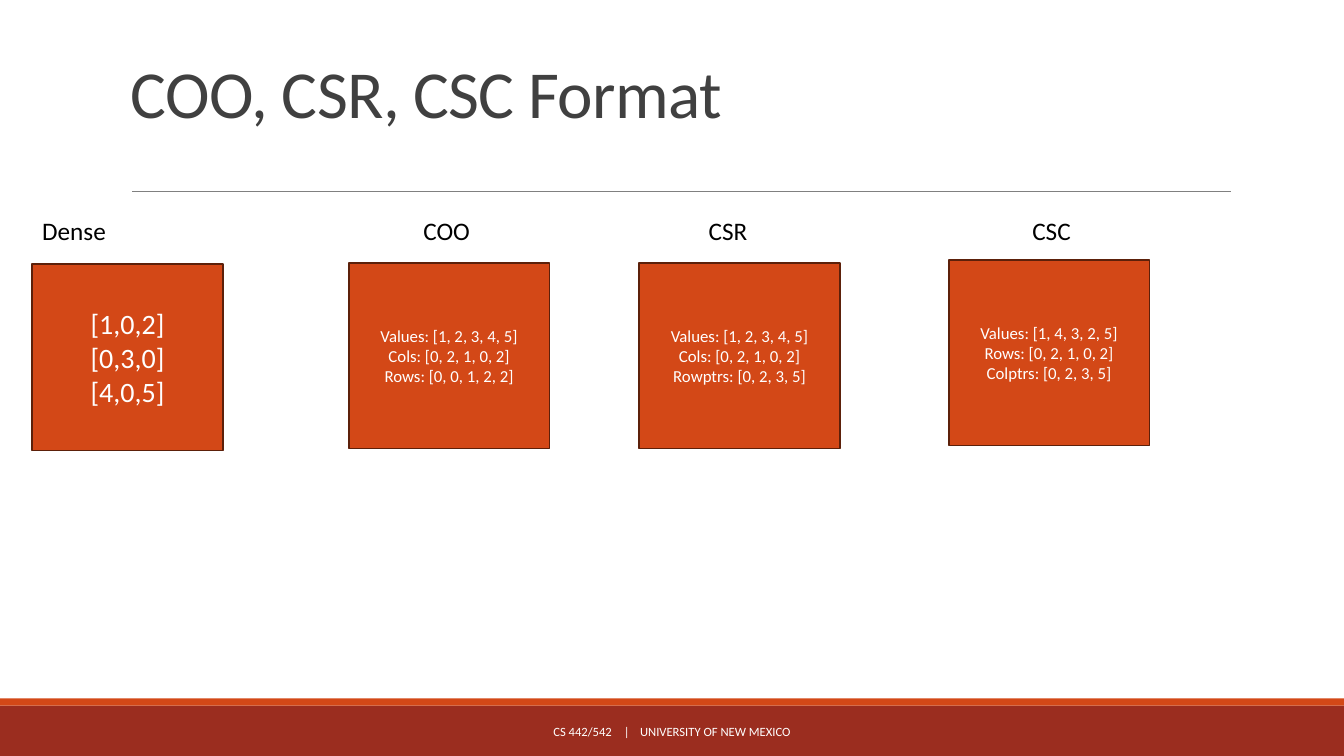
from lxml import etree
from pptx import Presentation
from pptx.dml.color import RGBColor
from pptx.enum.shapes import MSO_CONNECTOR, MSO_SHAPE
from pptx.enum.text import MSO_ANCHOR, PP_ALIGN
from pptx.oxml.ns import qn
from pptx.util import Inches, Pt

RECTANGLE = MSO_SHAPE.RECTANGLE
STRAIGHT = MSO_CONNECTOR.STRAIGHT
LEFT, CENTER = PP_ALIGN.LEFT, PP_ALIGN.CENTER
TOP, MIDDLE, BOTTOM = MSO_ANCHOR.TOP, MSO_ANCHOR.MIDDLE, MSO_ANCHOR.BOTTOM

COLORS = {
    "orange": "D34817",
    "dark red": "9B2D1F",
    "outline": "5C200A",
    "rule": "808080",
    "title": "404040",
    "black": "000000",
    "white": "FFFFFF",
}


def add_rectangle(box, fill, outline=None):
    shape = slide.shapes.add_shape(RECTANGLE, *map(Inches, box))
    shape.shadow.inherit = False
    shape.fill.solid()
    shape.fill.fore_color.rgb = RGBColor.from_string(COLORS[fill])
    if outline:
        shape.line.color.rgb = RGBColor.from_string(COLORS[outline])
        shape.line.width = Pt(1.25)
    else:
        shape.line.fill.background()
    return shape


def write_text(shape, lines, size, color, align=LEFT, anchor=TOP,
               line_spacing=1.0, letter_spacing=0, tabs=()):
    """Fill a shape with one paragraph per line; tabs are in inches."""
    frame = shape.text_frame
    frame.word_wrap = True
    frame.vertical_anchor = anchor
    for index, line in enumerate(lines):
        paragraph = frame.add_paragraph() if index else frame.paragraphs[0]
        paragraph.alignment = align
        paragraph.line_spacing = line_spacing
        run = paragraph.add_run()
        run.text = line
        run.font.name = "Calibri"
        run.font.size = Pt(size)
        run.font.color.rgb = RGBColor.from_string(COLORS[color])
        if letter_spacing:
            run.font._element.set("spc", str(int(letter_spacing * 100)))
        if tabs:
            properties = paragraph._p.get_or_add_pPr()
            tab_list = etree.SubElement(properties, qn("a:tabLst"))
            for position in tabs:
                etree.SubElement(tab_list, qn("a:tab"),
                                 pos=str(Inches(position)), algn="l")


presentation = Presentation()
presentation.slide_width = Inches(13.33)
presentation.slide_height = Inches(7.5)
slide = presentation.slides.add_slide(presentation.slide_layouts[6])

# Footer bands and title rule
add_rectangle((0, 7, 13.33, 0.5), "dark red")
add_rectangle((0, 6.93, 13.33, 0.07), "orange")
title_rule = slide.shapes.add_connector(
    STRAIGHT, Inches(1.31), Inches(1.9), Inches(12.21), Inches(1.9))
title_rule.line.color.rgb = RGBColor.from_string(COLORS["rule"])
title_rule.line.width = Pt(0.5)
etree.SubElement(title_rule._element.spPr, qn("a:effectLst"))

title = slide.shapes.add_textbox(Inches(1.2), Inches(0.31), Inches(11), Inches(1.05))
write_text(title, ["COO, CSR, CSC Format"], 48, "title", anchor=BOTTOM,
           line_spacing=0.85, letter_spacing=-0.5)

# Matrix formats
headings = slide.shapes.add_textbox(Inches(0.32), Inches(2.09), Inches(11.81), Inches(0.4))
write_text(headings, ["Dense\tCOO\tCSR\tCSC"], 18, "black", tabs=(3.78, 6.61, 9.82))

matrices = [
    ((0.32, 2.62, 1.89, 1.85), 20, ["[1,0,2]", "[0,3,0]", "[4,0,5]"]),
    ((3.46, 2.61, 1.99, 1.84), 12,
     ["Values: [1, 2, 3, 4, 5]", "Cols: [0, 2, 1, 0, 2]", "Rows: [0, 0, 1, 2, 2]"]),
    ((6.34, 2.61, 1.99, 1.84), 12,
     ["Values: [1, 2, 3, 4, 5]", "Cols: [0, 2, 1, 0, 2]", "Rowptrs: [0, 2, 3, 5]"]),
    ((9.41, 2.58, 1.99, 1.84), 12,
     ["Values: [1, 4, 3, 2, 5]", "Rows: [0, 2, 1, 0, 2]", "Colptrs: [0, 2, 3, 5]"]),
]
for box, size, lines in matrices:
    matrix = add_rectangle(box, "orange", "outline")
    write_text(matrix, lines, size, "white", align=CENTER, anchor=MIDDLE)

footer = slide.shapes.add_textbox(Inches(4.03), Inches(7.06), Inches(5.27), Inches(0.4))
write_text(footer, ["\tCS 442/542\t|\tUNIVERSITY OF NEW MEXICO"], 9, "white",
           anchor=MIDDLE, tabs=(1.36, 2.06, 2.22))

presentation.save("out.pptx")
